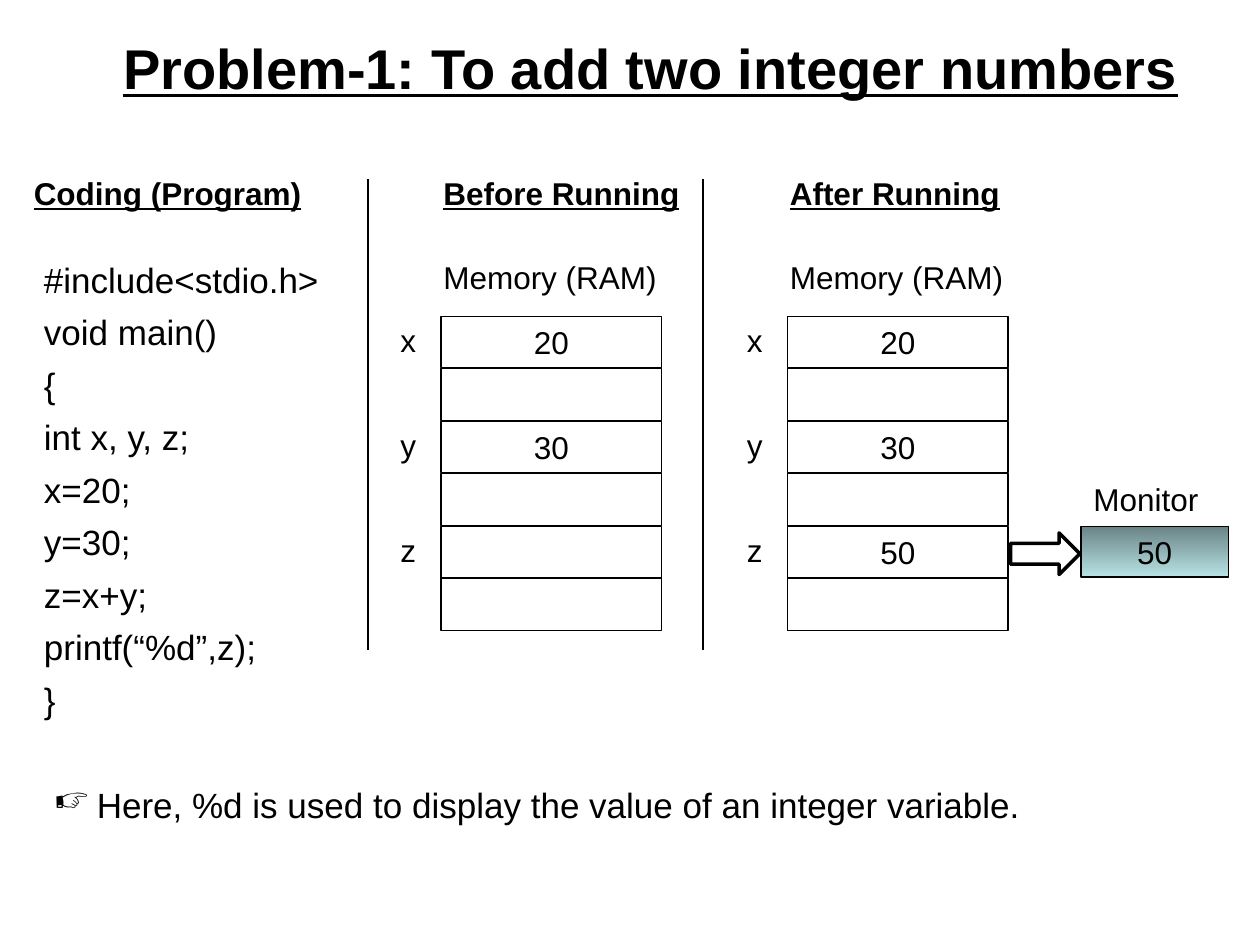
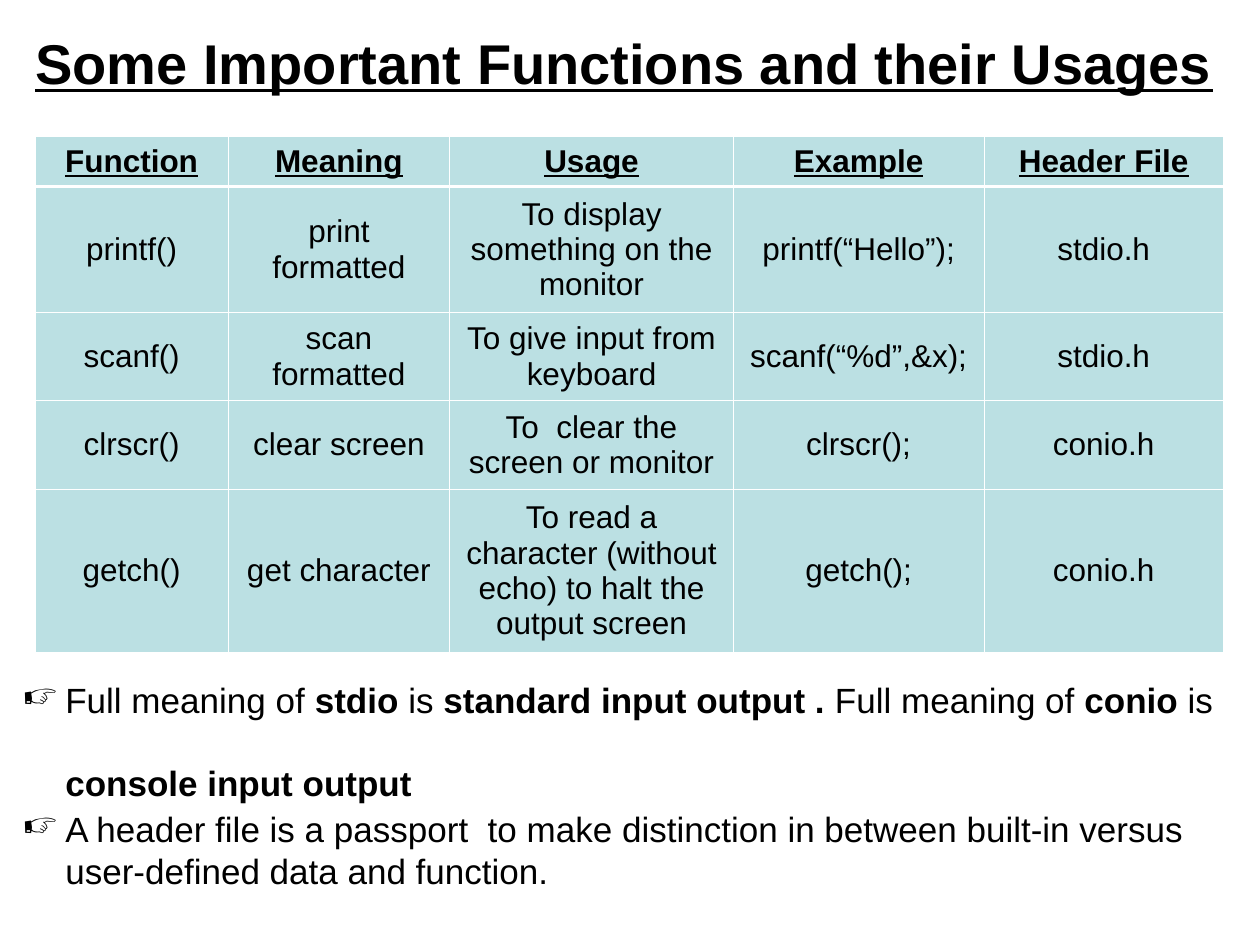
from lxml.etree import SubElement
from pptx import Presentation
from pptx.dml.color import RGBColor
from pptx.enum.shapes import MSO_CONNECTOR as CONN, MSO_SHAPE as SHAPE
from pptx.enum.text import MSO_ANCHOR as ANCHOR, MSO_AUTO_SIZE as AUTO, PP_ALIGN as ALIGN
from pptx.oxml.ns import qn
from pptx.util import Inches, Pt

COLORS = {"ink": "000000", "paper": "FFFFFF", "cell": "BBE0E3",
          "screen_top": "6A8486", "screen_base": "B8E3E6"}
FONT = "Arial"
TITLE_ONLY = 5
CODE = ["#include<stdio.h>", "void main()", "{", "int x, y, z;", "x=20;",
        "y=30;", "z=x+y;", "printf(“%d”,z);", "}"]
FUNCTIONS = [
    ["Function", "Meaning", "Usage", "Example", "Header File"],
    ["printf()", "print formatted", "To display something on the monitor",
     "printf(“Hello”);", "stdio.h"],
    ["scanf()", "scan formatted", "To give input from keyboard",
     "scanf(“%d”,&x);", "stdio.h"],
    ["clrscr()", "clear screen", "To  clear the screen or monitor",
     "clrscr();", "conio.h"],
    ["getch()", "get character",
     "To read a character (without echo) to halt the output screen",
     "getch();", "conio.h"],
]
COL_WIDTHS = [1.53, 1.76, 2.25, 1.99, 1.9]
ROW_HEIGHTS = [0.4, 1, 0.7, 0.7, 1.3]


def rgb(name):
    return RGBColor.from_string(COLORS[name])


def inches(*lengths):
    return [Inches(n) for n in lengths]


def write(tf, paras, size=18, bold=False, underline=False, align=ALIGN.LEFT,
          gap=0, bullet=None, hang=0):
    for i, runs in enumerate(paras):
        p = tf.paragraphs[0] if i == 0 else tf.add_paragraph()
        p.alignment = align
        pPr = p._p.get_or_add_pPr()
        if hang:
            pPr.set("marL", str(Inches(hang)))
            pPr.set("indent", str(-Inches(hang) if i == 0 else 0))
        if i:
            p.space_before = Pt(gap)
        if bullet and i == 0:
            SubElement(pPr, qn("a:buChar"), char=bullet)
        for text, strong in [(runs, bold)] if isinstance(runs, str) else runs:
            r = p.add_run()
            r.text = text
            r.font.name, r.font.size = FONT, Pt(size)
            r.font.bold, r.font.underline = strong, underline
            r.font.color.rgb = rgb("ink")


def add_text(s, box, paras, anchor=ANCHOR.TOP, **fmt):
    tf = s.shapes.add_textbox(*inches(*box)).text_frame
    tf.word_wrap = True
    tf.vertical_anchor = anchor
    write(tf, paras, **fmt)


def add_note(s, box, paras, **fmt):
    add_text(s, box, paras, size=20, bullet="☞", hang=0.34, **fmt)


def add_box(s, box, text="", shape=SHAPE.RECTANGLE, weight=0.75):
    sp = s.shapes.add_shape(shape, *inches(*box))
    sp.shadow.inherit = False
    sp.fill.background()
    sp.line.color.rgb = rgb("ink")
    sp.line.width = Pt(weight)
    if text:
        write(sp.text_frame, [text], align=ALIGN.CENTER)
    return sp


def add_divider(s, x, top, bottom):
    line = s.shapes.add_connector(CONN.STRAIGHT, *inches(x, top, x, bottom))
    line.line.color.rgb = rgb("ink")
    line.line.width = Pt(0.75)
    SubElement(line._element.spPr, qn("a:effectLst"))


def add_titled_slide(prs, title, box):
    s = prs.slides.add_slide(prs.slide_layouts[TITLE_ONLY])
    sp = s.shapes.title
    sp.left, sp.top, sp.width, sp.height = inches(*box)
    tf = sp.text_frame
    tf.auto_size = AUTO.NONE
    tf.vertical_anchor = ANCHOR.MIDDLE
    write(tf, [title], size=32, bold=True, underline=True, align=ALIGN.CENTER)
    return s


def add_code(s, x, y):
    add_text(s, (x, y, 2.5, 0.4), ["Coding (Program)"], bold=True, underline=True)
    add_text(s, (x + 0.08, y + 0.67, 2.65, 3.67), CODE, size=20, gap=6)


def add_memory(s, x, y, heading, values):
    add_text(s, (x + 0.34, y, 2.08, 0.4), [heading], bold=True, underline=True)
    add_text(s, (x + 0.34, y + 0.67, 1.92, 0.4), ["Memory (RAM)"])
    pitch = 2.5 / len(values)
    for i, value in enumerate(values):
        add_box(s, (x + 0.42, y + 1.18 + i * pitch, 1.75, 0.41), value)
    for i, name in enumerate("xyz"):
        add_text(s, (x, y + 1.17 + 2 * i * pitch, 0.33, 0.4), [name])


def add_monitor(s, x, y, value):
    arrow = add_box(s, (x, y + 0.47, 0.55, 0.33), shape=SHAPE.RIGHT_ARROW, weight=2)
    arrow.fill.solid()
    arrow.fill.fore_color.rgb = rgb("paper")
    add_text(s, (x + 0.56, y, 1.17, 0.4), ["Monitor"])
    fill = add_box(s, (x + 0.56, y + 0.42, 1.17, 0.4), value).fill
    fill.gradient()
    fill.gradient_angle = 270
    for i, name in enumerate(("screen_top", "screen_base")):
        stop = fill.gradient_stops[i]
        stop.position = i
        stop.color.rgb = rgb(name)


def set_borders(cell, **weights):
    tcPr = cell._tc.get_or_add_tcPr()
    for side, weight in weights.items():
        ln = SubElement(tcPr, qn(f"a:ln{side}"), w=str(Pt(weight)))
        SubElement(SubElement(ln, qn("a:solidFill")), qn("a:srgbClr"), val=COLORS["paper"])


def add_function_table(s, x, y):
    size = (sum(COL_WIDTHS), sum(ROW_HEIGHTS))
    table = s.shapes.add_table(len(ROW_HEIGHTS), len(COL_WIDTHS),
                               *inches(x, y, *size)).table
    table.horz_banding = False
    for col, width in zip(table.columns, COL_WIDTHS):
        col.width = Inches(width)
    for i, (row, height) in enumerate(zip(table.rows, ROW_HEIGHTS)):
        row.height = Inches(height)
        header = i == 0
        for cell, text in zip(row.cells, FUNCTIONS[i]):
            set_borders(cell, L=0.45, R=0.45, T=1.47 if i == 1 else 0.45,
                        B=1.47 if header else 0.45)
            cell.fill.solid()
            cell.fill.fore_color.rgb = rgb("cell")
            cell.vertical_anchor = ANCHOR.MIDDLE
            write(cell.text_frame, [text], bold=header, underline=header,
                  align=ALIGN.CENTER)


def build_problem(prs):
    s = add_titled_slide(prs, "Problem-1: To add two integer numbers",
                         (0.75, 0.06, 8.83, 0.94))
    add_code(s, 0.17, 1.33)
    add_memory(s, 3.08, 1.33, "Before Running", ["20", "", "30", "", "", ""])
    add_memory(s, 5.83, 1.33, "After Running", ["20", "", "30", "", "50", ""])
    for x in (2.92, 5.58):
        add_divider(s, x, 1.42, 5.16)
    add_monitor(s, 8.02, 3.76, "50")
    add_note(s, (0.33, 6.17, 8, 0.5),
             ["Here, %d is used to display the value of an integer variable."])


def build_functions(prs):
    s = add_titled_slide(prs, "Some Important Functions and their Usages",
                         (0.08, 0.08, 9.75, 0.83))
    add_function_table(s, 0.28, 1.08)
    add_note(s, (0.08, 5.42, 9.75, 0.92), [
        [("Full meaning of ", False), ("stdio", True), (" is ", False),
         ("standard input output . ", True), ("Full meaning of ", False),
         ("conio", True), (" is", False)],
        [("console input output", True)],
    ], anchor=ANCHOR.MIDDLE, gap=23)
    add_note(s, (0.08, 6.33, 9.58, 0.83),
             ["A header file is a passport  to make distinction in between "
              "built-in versus user-defined data and function."],
             anchor=ANCHOR.MIDDLE)


def main():
    prs = Presentation()
    prs.slide_width, prs.slide_height = inches(10, 7.5)
    build_problem(prs)
    build_functions(prs)
    prs.save("out.pptx")


if __name__ == "__main__":
    main()
